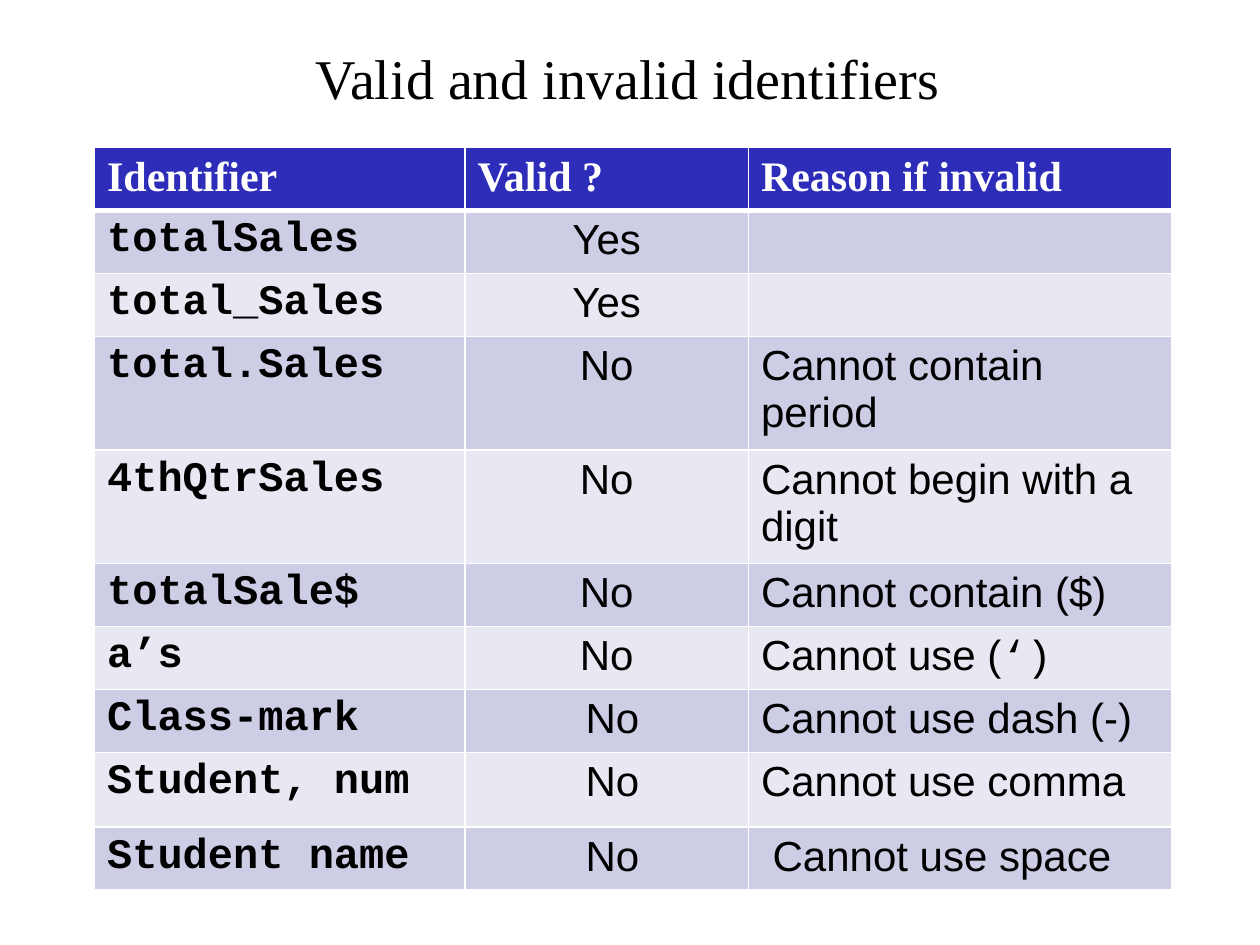
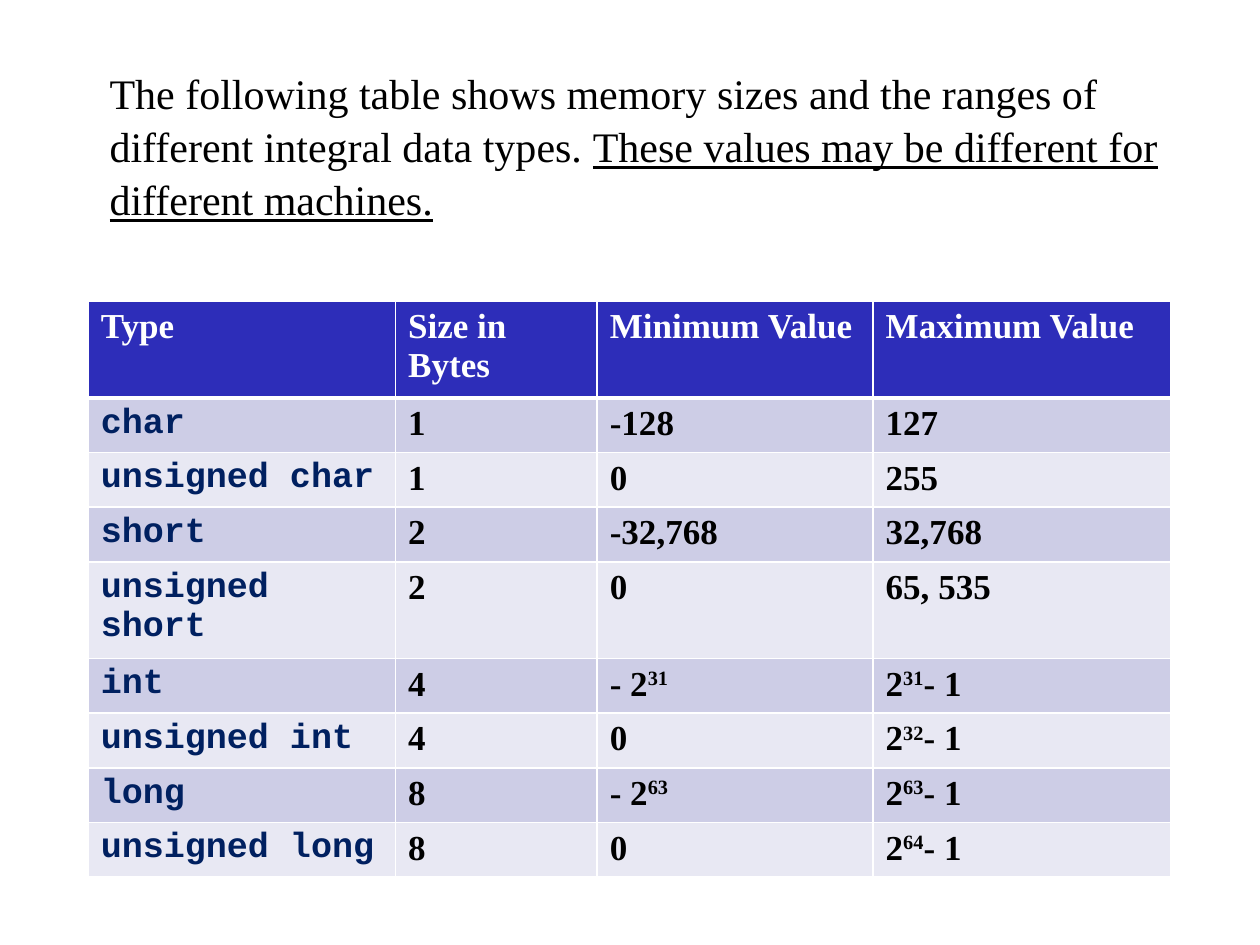
import pptx
import pptx.dml.color
import pptx.enum.text
import pptx.oxml
import pptx.oxml.ns
import pptx.util

Inches = pptx.util.Inches
Pt = pptx.util.Pt
RGBColor = pptx.dml.color.RGBColor
PP_ALIGN = pptx.enum.text.PP_ALIGN
MSO_ANCHOR = pptx.enum.text.MSO_ANCHOR

BLACK = RGBColor(0x00, 0x00, 0x00)
WHITE = RGBColor(0xFF, 0xFF, 0xFF)
NAVY = RGBColor(0x00, 0x20, 0x60)
HEADER_BLUE = RGBColor(0x2D, 0x2D, 0xB9)
BANDS = (RGBColor(0xCD, 0xCD, 0xE6), RGBColor(0xE8, 0xE8, 0xF3))

SERIF = "Times New Roman"
SANS = "Arial"
MONO = "Courier New"

HEADER_STYLE = {"name": SERIF, "bold": True, "color": WHITE}
CODE_STYLE = {"name": MONO, "bold": True, "color": BLACK}
ANSWER_STYLE = {"name": SANS, "bold": False, "color": BLACK}
TYPE_STYLE = {"name": MONO, "bold": True, "color": NAVY}
VALUE_STYLE = {"name": SERIF, "bold": True, "color": BLACK}
PROSE_STYLE = {"name": SERIF, "color": BLACK}

IDENTIFIERS = [
    ("Identifier", "Valid ?", "Reason if invalid"),
    ("totalSales", "Yes", ""),
    ("total_Sales", "Yes", ""),
    ("total.Sales", "No", "Cannot contain period"),
    ("4thQtrSales", "No", "Cannot begin with a digit"),
    ("totalSale$", "No", "Cannot contain ($)"),
    ("a’s", "No", [("Cannot use (", {}), ("‘)", {"name": MONO})]),
    ("Class-mark", " No", "Cannot use dash (-)"),
    ("Student, num", " No", "Cannot use comma"),
    ("Student name", " No", " Cannot use space"),
]
IDENTIFIER_HEIGHTS = (0.46, 0.49, 0.49, 0.89, 0.88, 0.49, 0.5, 0.48, 0.59, 0.48)


def power(before, exponent, after=""):
    pieces = [(before, {}), (exponent, {"baseline": 30000}), (after, {})]
    return [piece for piece in pieces if piece[0]]


INTEGRAL_TYPES = [
    ("Type", "Size in Bytes", "Minimum Value", "Maximum Value"),
    ("char", "1", "-128", "127"),
    ("unsigned char", "1", "0", "255"),
    ("short", "2", "-32,768", "32,768"),
    ("unsigned short", "2", "0", "65, 535"),
    ("int", "4", power("- 2", "31"), power("2", "31", "- 1")),
    ("unsigned int", "4", "0", power("2", "32", "- 1")),
    ("long", "8", power("- 2", "63"), power("2", "63", "- 1")),
    ("unsigned long", "8", "0", power("2", "64", "- 1")),
]
TYPE_HEIGHTS = (0.71, 0.42, 0.42, 0.41, 0.73, 0.42, 0.42, 0.41, 0.42)


def write(paragraph, content, style, size):
    pieces = [(content, {})] if isinstance(content, str) else content
    for text, changes in pieces:
        if not text:
            continue
        run = paragraph.add_run()
        run.text = text
        run.font.size = Pt(size)
        for key, value in {**style, **changes}.items():
            if key == "color":
                run.font.color.rgb = value
            elif key == "baseline":
                run._r.get_or_add_rPr().set("baseline", str(value))
            else:
                setattr(run.font, key, value)


def add_text(slide, place, content, size, align, anchor):
    box = slide.shapes.add_textbox(*[Inches(length) for length in place])
    frame = box.text_frame
    frame.word_wrap = True
    frame.vertical_anchor = anchor
    paragraph = frame.paragraphs[0]
    paragraph.alignment = align
    write(paragraph, content, PROSE_STYLE, size)
    return frame


def set_borders(cell, row_index):
    widths = {
        "L": 1,
        "R": 1,
        "T": 3 if row_index == 1 else 1,
        "B": 3 if row_index == 0 else 1,
    }
    for side, width in widths.items():
        cell._tc.get_or_add_tcPr().append(pptx.oxml.parse_xml(
            f'<a:ln{side} {pptx.oxml.ns.nsdecls("a")} w="{int(Pt(width))}">'
            f'<a:solidFill><a:srgbClr val="{WHITE}"/></a:solidFill></a:ln{side}>'
        ))


def add_grid(slide, left, top, widths, heights, rows, styles, size, centred=()):
    table = slide.shapes.add_table(
        len(rows), len(widths), Inches(left), Inches(top),
        Inches(sum(widths)), Inches(sum(heights)),
    ).table
    for column, width in zip(table.columns, widths):
        column.width = Inches(width)
    for row_index, (contents, height) in enumerate(zip(rows, heights)):
        table.rows[row_index].height = Inches(height)
        is_header = row_index == 0
        for column_index, content in enumerate(contents):
            cell = table.cell(row_index, column_index)
            set_borders(cell, row_index)
            cell.fill.solid()
            cell.fill.fore_color.rgb = (
                HEADER_BLUE if is_header else BANDS[(row_index - 1) % 2]
            )
            paragraph = cell.text_frame.paragraphs[0]
            if column_index in centred and not is_header:
                paragraph.alignment = PP_ALIGN.CENTER
            style = HEADER_STYLE if is_header else styles[column_index]
            write(paragraph, content, style, size)


def build_identifiers(slide):
    add_text(slide, (0.75, 0.16, 8.47, 0.9), "Valid and invalid identifiers",
             32, PP_ALIGN.CENTER, MSO_ANCHOR.MIDDLE)
    add_grid(slide, 0.75, 1.17, (2.94, 2.25, 3.36), IDENTIFIER_HEIGHTS, IDENTIFIERS,
             (CODE_STYLE, ANSWER_STYLE, ANSWER_STYLE), 24, centred=(1,))


def build_integral_types(slide):
    intro = [
        ("The following table shows memory sizes and the ranges of "
         "different integral data types. ", {}),
        ("These values may be different for different machines.", {"underline": True}),
    ]
    frame = add_text(slide, (0.39, 0.47, 9.3, 6.72), intro,
                     24, PP_ALIGN.LEFT, MSO_ANCHOR.TOP)
    frame.margin_left = Inches(0.48)
    frame.paragraphs[0].line_spacing = 1.05
    add_grid(slide, 0.7, 2.39, (2.44, 1.6, 2.19, 2.36), TYPE_HEIGHTS, INTEGRAL_TYPES,
             (TYPE_STYLE, VALUE_STYLE, VALUE_STYLE, VALUE_STYLE), 20)


def main():
    deck = pptx.Presentation()
    deck.slide_width = Inches(10)
    deck.slide_height = Inches(7.5)
    for build in (build_identifiers, build_integral_types):
        build(deck.slides.add_slide(deck.slide_layouts[6]))
    deck.save("out.pptx")


if __name__ == "__main__":
    main()
